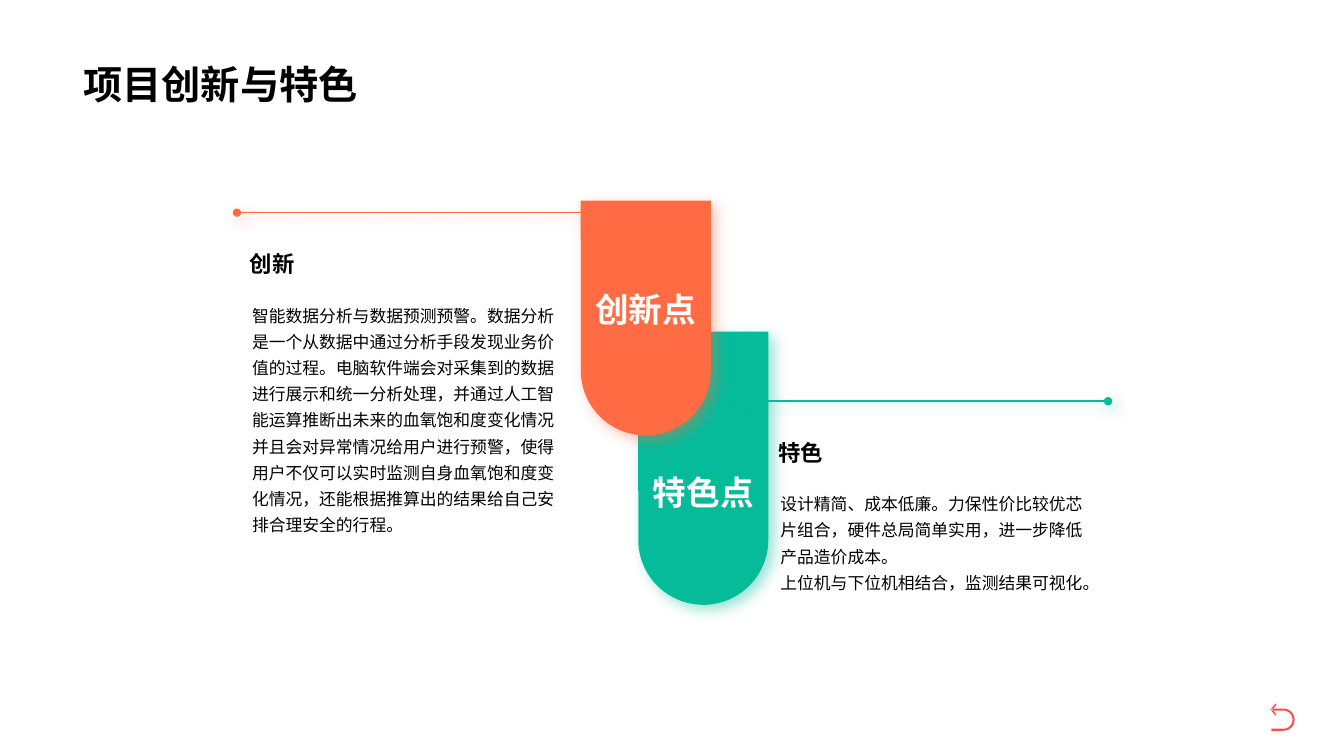
"""Builds the slide on the innovation and features of the project."""
import math

from lxml import etree
from pptx import Presentation
from pptx.dml.color import RGBColor
from pptx.enum.lang import MSO_LANGUAGE_ID
from pptx.enum.shapes import MSO_CONNECTOR, MSO_SHAPE
from pptx.enum.text import MSO_ANCHOR, MSO_AUTO_SIZE, PP_ALIGN
from pptx.oxml import parse_xml
from pptx.oxml.ns import nsdecls, qn
from pptx.util import Inches, Pt

TEAL = RGBColor(0x06, 0xBB, 0x9A)
ORANGE = RGBColor(0xFF, 0x6B, 0x42)
RED = RGBColor(0xF8, 0x4D, 0x4D)
BLACK = RGBColor(0, 0, 0)
WHITE = RGBColor(0xFF, 0xFF, 0xFF)
FONT = "Roboto"
CHINESE = MSO_LANGUAGE_ID.SIMPLIFIED_CHINESE
TOP, BOTTOM = MSO_ANCHOR.TOP, MSO_ANCHOR.BOTTOM
LEFT, CENTER = PP_ALIGN.LEFT, PP_ALIGN.CENTER
GROW, FIXED = MSO_AUTO_SIZE.SHAPE_TO_FIT_TEXT, MSO_AUTO_SIZE.NONE
TAB_SHAPE = MSO_SHAPE.ROUND_2_SAME_RECTANGLE
STRAIGHT = MSO_CONNECTOR.STRAIGHT

TAB_WIDTH = 1.29
TEXT_WIDTH = 3.33
HEADING_HEIGHT = 0.47

prs = Presentation()
prs.slide_width, prs.slide_height = Inches(13.33), Inches(7.5)
slide = prs.slides.add_slide(prs.slide_layouts[6])
shapes = slide.shapes


def add_text(text, *, left, top, width, height, size, color=BLACK, bold=False,
             align=LEFT, anchor=BOTTOM, inset=(0.1, 0.1), spacing=1.0, fit=GROW):
    box = shapes.add_textbox(Inches(left), Inches(top), Inches(width), Inches(height))
    frame = box.text_frame
    frame.word_wrap = True
    frame.auto_size = fit
    frame.vertical_anchor = anchor
    frame.margin_left = frame.margin_right = Inches(inset[0])
    frame.margin_top = frame.margin_bottom = Inches(inset[1])
    frame.text = text
    for paragraph in frame.paragraphs:
        paragraph.alignment = align
        paragraph.line_spacing = spacing
        for run in paragraph.runs:
            font = run.font
            font.name, font.size, font.bold = FONT, Pt(size), bold
            font.color.rgb = color
            font.language_id = CHINESE
            latin = font._element.find(qn("a:latin"))
            latin.addnext(parse_xml(f'<a:ea {nsdecls("a")} typeface="{FONT}"/>'))


def add_glow_shadow(properties, color):
    for effects in properties.findall(qn("a:effectLst")):
        properties.remove(effects)
    properties.append(parse_xml(
        f'<a:effectLst {nsdecls("a")}><a:outerShdw blurRad="{Pt(10)}" dist="{Pt(5)}" '
        f'dir="2700000" algn="tl" rotWithShape="0"><a:srgbClr val="{color}">'
        '<a:alpha val="40000"/></a:srgbClr></a:outerShdw></a:effectLst>'))


sections = [
    dict(color=TEAL, tab=(6.33, 3.29, 2.71), label="特色点", label_top=4.58,
         line=(10.99, 7.31, 3.98), heading="特色", text_at=(7.62, 4.25), body_height=1.26,
         body="设计精简、成本低廉。力保性价比较优芯片组合，硬件总局简单实用，进一步降低产品造价成本。\n"
              "上位机与下位机相结合，监测结果可视化。"),
    dict(color=ORANGE, tab=(5.76, 1.99, 2.33), label="创新点", label_top=2.77,
         line=(2.35, 6.02, 2.11), heading="创新", text_at=(2.38, 2.38), body_height=2.57,
         body="智能数据分析与数据预测预警。数据分析是一个从数据中通过分析手段发现业务价值的过程。"
              "电脑软件端会对采集到的数据进行展示和统一分析处理，并通过人工智能运算推断出未来的"
              "血氧饱和度变化情况并且会对异常情况给用户进行预警，使得用户不仅可以实时监测自身"
              "血氧饱和度变化情况，还能根据推算出的结果给自己安排合理安全的行程。"),
]

for section in sections:
    color = section["color"]
    tab_left, tab_top, tab_height = section["tab"]
    tab = shapes.add_shape(TAB_SHAPE, Inches(tab_left), Inches(tab_top),
                           Inches(TAB_WIDTH), Inches(tab_height))
    tab.rotation = 180
    tab.adjustments[0], tab.adjustments[1] = 0.5, 0
    tab.fill.solid()
    tab.fill.fore_color.rgb = color
    tab.line.fill.background()
    add_glow_shadow(tab._element.spPr, color)
    add_text(section["label"], left=tab_left, top=section["label_top"], width=TAB_WIDTH,
             height=0.6, size=24, color=WHITE, bold=True, align=CENTER)

    dot_x, tab_x, line_y = section["line"]
    leader = shapes.add_connector(STRAIGHT, Inches(dot_x), Inches(line_y),
                                  Inches(tab_x), Inches(line_y))
    leader.line.color.rgb = color
    leader.line.width = Pt(1)
    etree.SubElement(leader.line._get_or_add_ln(), qn("a:headEnd"), type="oval")
    add_glow_shadow(leader._element.spPr, color)

    text_left, heading_top = section["text_at"]
    add_text(section["body"], left=text_left, top=heading_top + HEADING_HEIGHT,
             width=TEXT_WIDTH, height=section["body_height"], size=12, anchor=TOP,
             inset=(0.12, 0.12), spacing=1.3)
    add_text(section["heading"], left=text_left, top=heading_top, width=TEXT_WIDTH,
             height=HEADING_HEIGHT, size=16, bold=True)

add_text("项目创新与特色", left=0.73, top=0, width=11.88, height=1.12, size=28, bold=True,
         inset=(0.1, 0.05), spacing=0.9, fit=FIXED)

bend_x, bend_y = 12.73, 7.14
angles = [math.radians(degree) for degree in range(-90, 91, 10)]
outer_bend, inner_bend = [
    [(bend_x + radius * math.cos(angle), bend_y + radius * math.sin(angle)) for angle in angles]
    for radius in (0.11, 0.09)]
hook = [(12.61, 7.03), *outer_bend, (12.61, 7.25), (12.61, 7.23), *inner_bend[::-1], (12.61, 7.05)]
arrowhead = [(12.65, 6.98), (12.6, 7.04), (12.65, 7.1), (12.66, 7.09), (12.62, 7.04), (12.66, 6.99)]

hook_points, head_points = [
    [(Inches(x), Inches(y)) for x, y in outline] for outline in (hook, arrowhead)]
builder = shapes.build_freeform(*hook_points[0])
builder.add_line_segments(hook_points[1:])
builder.move_to(*head_points[0])
builder.add_line_segments(head_points[1:])
back_arrow = builder.convert_to_shape()
back_arrow.shadow.inherit = False
back_arrow.fill.solid()
back_arrow.fill.fore_color.rgb = RED
back_arrow.line.fill.background()

prs.save("out.pptx")
